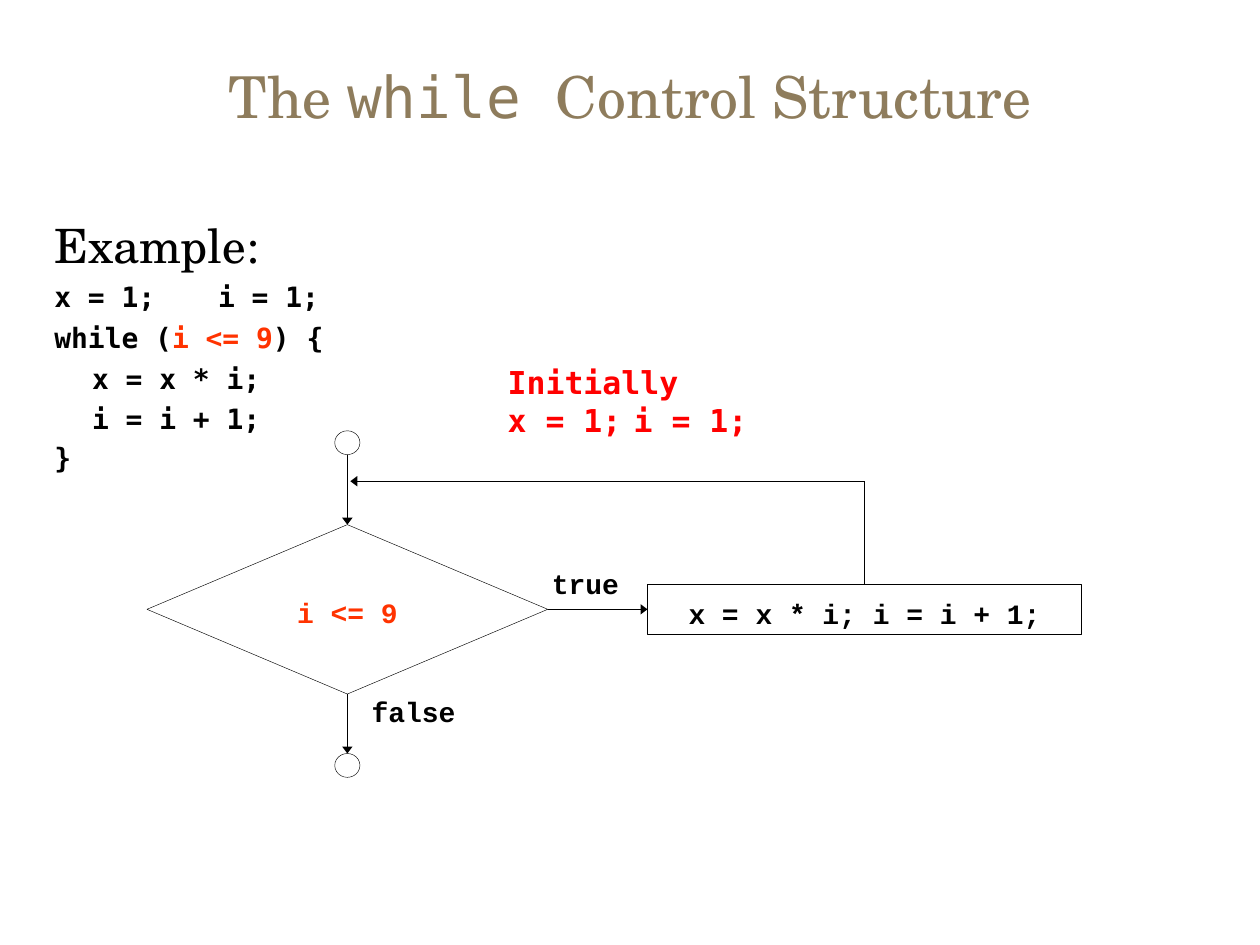
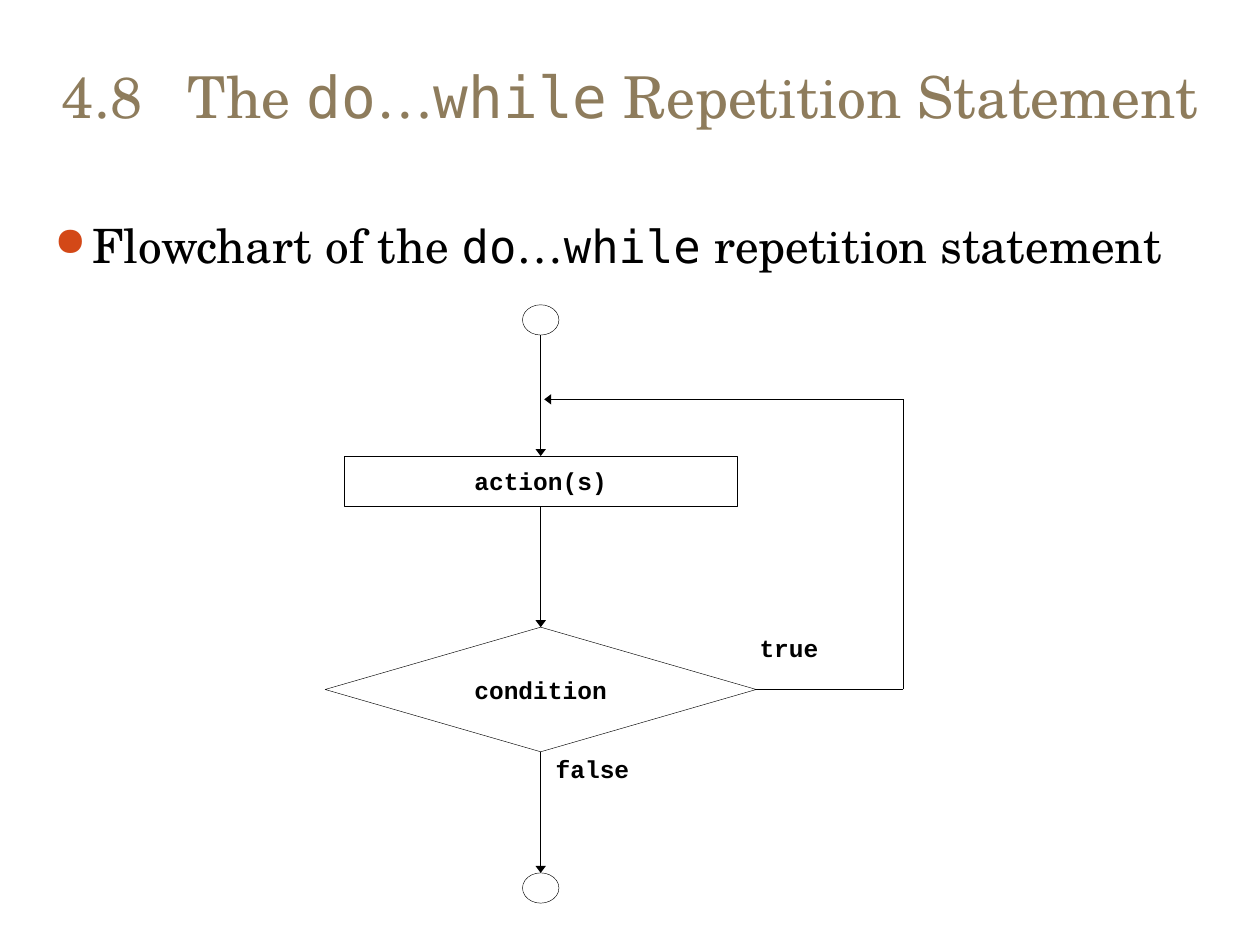
from lxml.etree import SubElement
from pptx import Presentation
from pptx.dml.color import RGBColor
from pptx.enum.shapes import MSO_CONNECTOR, MSO_SHAPE as SHAPE
from pptx.enum.text import MSO_ANCHOR as ANCHOR, PP_ALIGN as ALIGN
from pptx.oxml.ns import qn
from pptx.util import Pt

# Shared look
SERIF, MONO, COURIER = "TeX Gyre Schola", "DejaVu Sans Mono", "Courier New"
TITLE, BLACK, WHITE = "8E7C5C", "000000", "FFFFFF"
CONDITION, RED, BULLET = "FF3300", "FF0000", "D34817"
HANG = 21.6
color = RGBColor.from_string

TIGHT = dict(margin_left=0, margin_top=0, margin_right=0, margin_bottom=0)
BODY = dict(word_wrap=True)
HEADING = dict(word_wrap=True, vertical_anchor=ANCHOR.BOTTOM)
LABEL = dict(TIGHT, word_wrap=True)
NODE = dict(TIGHT, word_wrap=False, vertical_anchor=ANCHOR.MIDDLE)


def write(frame, layout, paragraphs, align=ALIGN.LEFT, hang=0, bullet=None):
    """Fill a frame; a paragraph is (space before, [(text, size, font, colour, bold)])."""
    for name, value in layout.items():
        setattr(frame, name, value)
    for number, (before, runs) in enumerate(paragraphs):
        para = frame.add_paragraph() if number else frame.paragraphs[0]
        props = para._p.get_or_add_pPr()
        if hang:
            props.set("marL", str(Pt(hang)))
            props.set("indent", str(-Pt(hang)))
        if bullet:
            SubElement(SubElement(props, qn("a:buClr")), qn("a:srgbClr"), val=BULLET)
            SubElement(props, qn("a:buSzPct"), val="85000")
            SubElement(props, qn("a:buChar"), char=bullet)
        if any("\t" in run[0] for run in runs):
            stops = SubElement(props, qn("a:tabLst"))
            for inch in range(8):
                SubElement(stops, qn("a:tab"), pos=str(Pt(72 * inch)), algn="l")
        para.alignment = align
        para.space_before = Pt(before)
        for text, size, face, tint, bold in runs:
            run = para.add_run()
            run.text = text
            for name, value in dict(size=Pt(size), name=face, bold=bold).items():
                setattr(run.font, name, value)
            run.font.color.rgb = color(tint)


def code(text, tint=BLACK, size=16, face=MONO):
    return text, size, face, tint, True


# Slide contents: nodes are (shape, left, top, width, height, text, colour, top inset),
# line ends are either a point or a (node, side) pair
while_slide = dict(
    title=[("The ", SERIF), ("while ", MONO), ("Control Structure", SERIF)],
    body=[
        (0, [("Example:", 27, SERIF, BLACK, False)]),
        (4, [code("x = 1;\ti = 1;")]),
        (4, [code("while ("), code("i <= 9", CONDITION), code(") {")]),
        (4, [code("\tx = x * i;")]),
        (4, [code("\ti = i + 1;")]),
        (3, [code("}")]),
    ],
    bullet=None,
    size=16,
    nodes=dict(
        start=(SHAPE.OVAL, 191.3, 246.2, 14.4, 13.6, "", BLACK, 0),
        test=(SHAPE.DIAMOND, 84, 299.8, 229, 96.8, "i <= 9", CONDITION, 4),
        step=(SHAPE.RECTANGLE, 370, 333.7, 248, 29, "x = x * i; i = i + 1;", BLACK, 4),
        end=(SHAPE.OVAL, 191.3, 430.6, 14.4, 13.6, "", BLACK, 0),
    ),
    lines=[
        ((198.5, 259.8), ("test", 0), True),
        (("test", 2), (198.5, 430.6), True),
        (("test", 3), ("step", 1), True),
        (("step", 0), (494, 275), False),
        ((494, 275), (200.2, 275), True),
    ],
    labels=[("true", 315.4, 323.5), ("false", 212.4, 396.9)],
)
do_slide = dict(
    title=[("4.8\tThe ", SERIF), ("do", MONO), ("…", SERIF), ("while", MONO),
           (" Repetition Statement", SERIF)],
    body=[(0, [(text, size, face, BLACK, False) for text, size, face in (
        ("Flowchart of the ", 27, SERIF), ("do", 26, MONO), ("…", 27, SERIF),
        ("while", 26, MONO), (" repetition statement", 27, SERIF))])],
    bullet="●",
    size=14,
    nodes=dict(
        start=(SHAPE.OVAL, 298.6, 174.2, 20.8, 17.3, "", BLACK, 0),
        action=(SHAPE.RECTANGLE, 196.5, 260.6, 225, 28.6, "action(s)", BLACK, 0),
        test=(SHAPE.DIAMOND, 185.8, 358.4, 246.4, 71.2, "condition", BLACK, 0),
        end=(SHAPE.OVAL, 298.6, 498.8, 20.8, 17.3, "", BLACK, 0),
    ),
    lines=[
        ((309, 191.5), ("action", 0), True),
        (("action", 2), ("test", 0), True),
        (("test", 2), (309, 498.8), True),
        (("test", 3), (516.2, 394), False),
        ((516.2, 394), (516.2, 228.2), False),
        ((516.2, 228.2), (311, 228.2), True),
    ],
    labels=[("true", 434, 361.5), ("false", 317.5, 430.6)],
)

prs = Presentation()
prs.slide_width, prs.slide_height = Pt(720), Pt(540)

for content in (while_slide, do_slide):
    slide = prs.slides.add_slide(prs.slide_layouts[6])
    shapes = slide.shapes

    # Title and body
    title = shapes.add_textbox(Pt(24), Pt(18), Pt(672), Pt(60))
    title_runs = [(text, 33, face, TITLE, False) for text, face in content["title"]]
    write(title.text_frame, HEADING, [(0, title_runs)], ALIGN.CENTER)
    body = shapes.add_textbox(Pt(24), Pt(120), Pt(670), Pt(360))
    write(body.text_frame, BODY, content["body"], hang=HANG, bullet=content["bullet"])

    # Flowchart nodes
    nodes = {}
    for key, (kind, left, top, width, height, text, tint, inset) in content["nodes"].items():
        node = nodes[key] = shapes.add_shape(kind, Pt(left), Pt(top), Pt(width), Pt(height))
        node.shadow.inherit = False
        node.fill.solid()
        node.fill.fore_color.rgb = color(WHITE)
        node.line.color.rgb = color(BLACK)
        node.line.width = Pt(0.25)
        if text:
            write(node.text_frame, dict(NODE, margin_top=Pt(inset)),
                  [(0, [code(text, tint, content["size"], COURIER)])], ALIGN.CENTER)

    # Flow lines
    for begin, end, arrow in content["lines"]:
        points = [(0, 0) if point[0] in nodes else point for point in (begin, end)]
        flow = shapes.add_connector(MSO_CONNECTOR.STRAIGHT,
                                    *[Pt(value) for point in points for value in point])
        if begin[0] in nodes:
            flow.begin_connect(nodes[begin[0]], begin[1])
        if end[0] in nodes:
            flow.end_connect(nodes[end[0]], end[1])
        flow.line.color.rgb = color(BLACK)
        flow.line.width = Pt(0.25)
        props = flow._element.spPr
        if arrow:
            SubElement(props.find(qn("a:ln")), qn("a:tailEnd"), type="triangle", w="med", len="sm")
        SubElement(props, qn("a:effectLst"))

    # Branch labels
    for text, left, top in content["labels"]:
        label = shapes.add_textbox(Pt(left), Pt(top), Pt(62), Pt(27))
        write(label.text_frame, LABEL, [(0, [code(text, BLACK, content["size"], COURIER)])])

# Starting values beside the first flowchart
initially = prs.slides[0].shapes.add_textbox(Pt(283), Pt(203.8), Pt(158.4), Pt(50.4))
write(initially.text_frame, BODY,
      [(0, [code(text, RED, 18)]) for text in ("Initially", "x = 1;\ti = 1;")])

prs.save("out.pptx")
